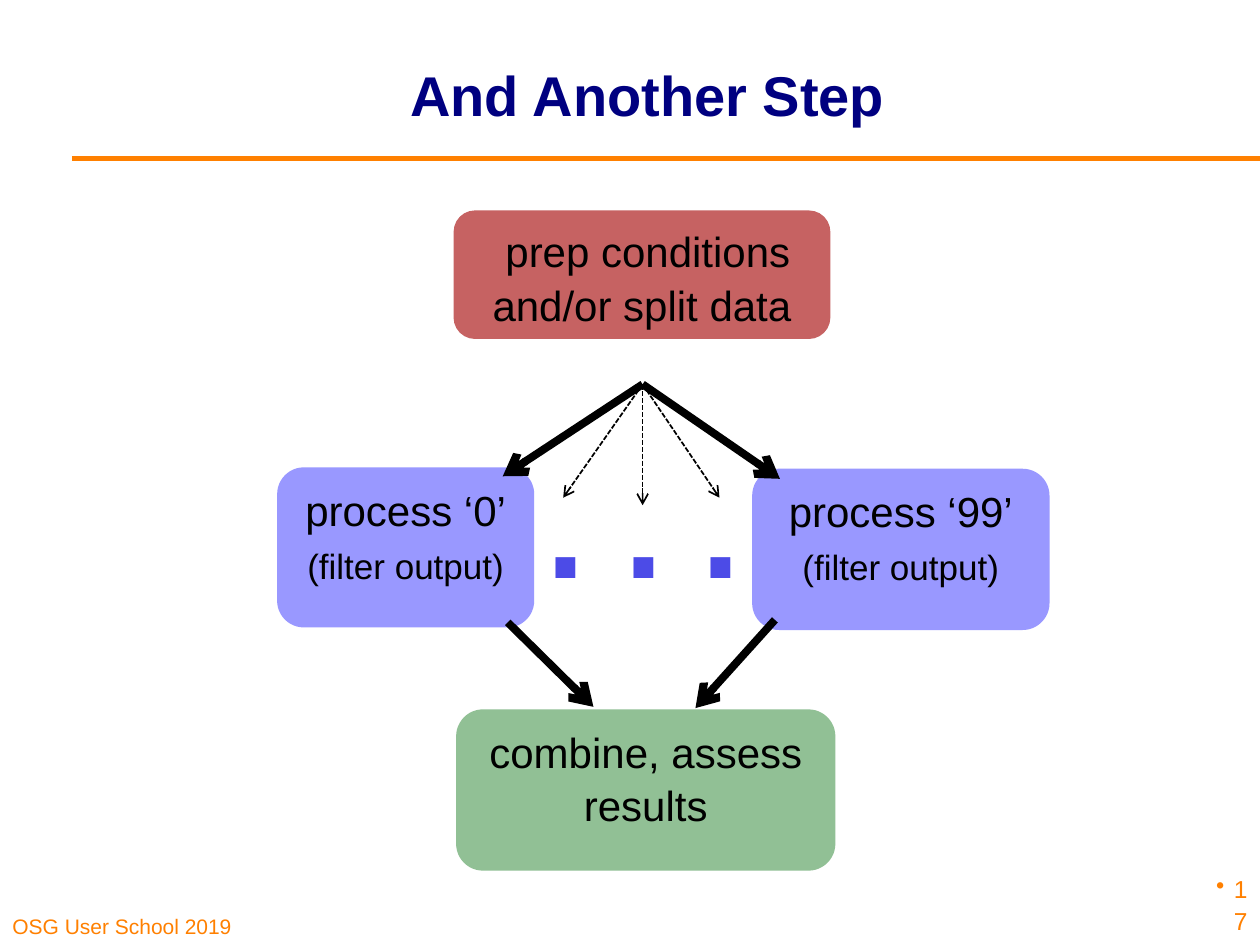
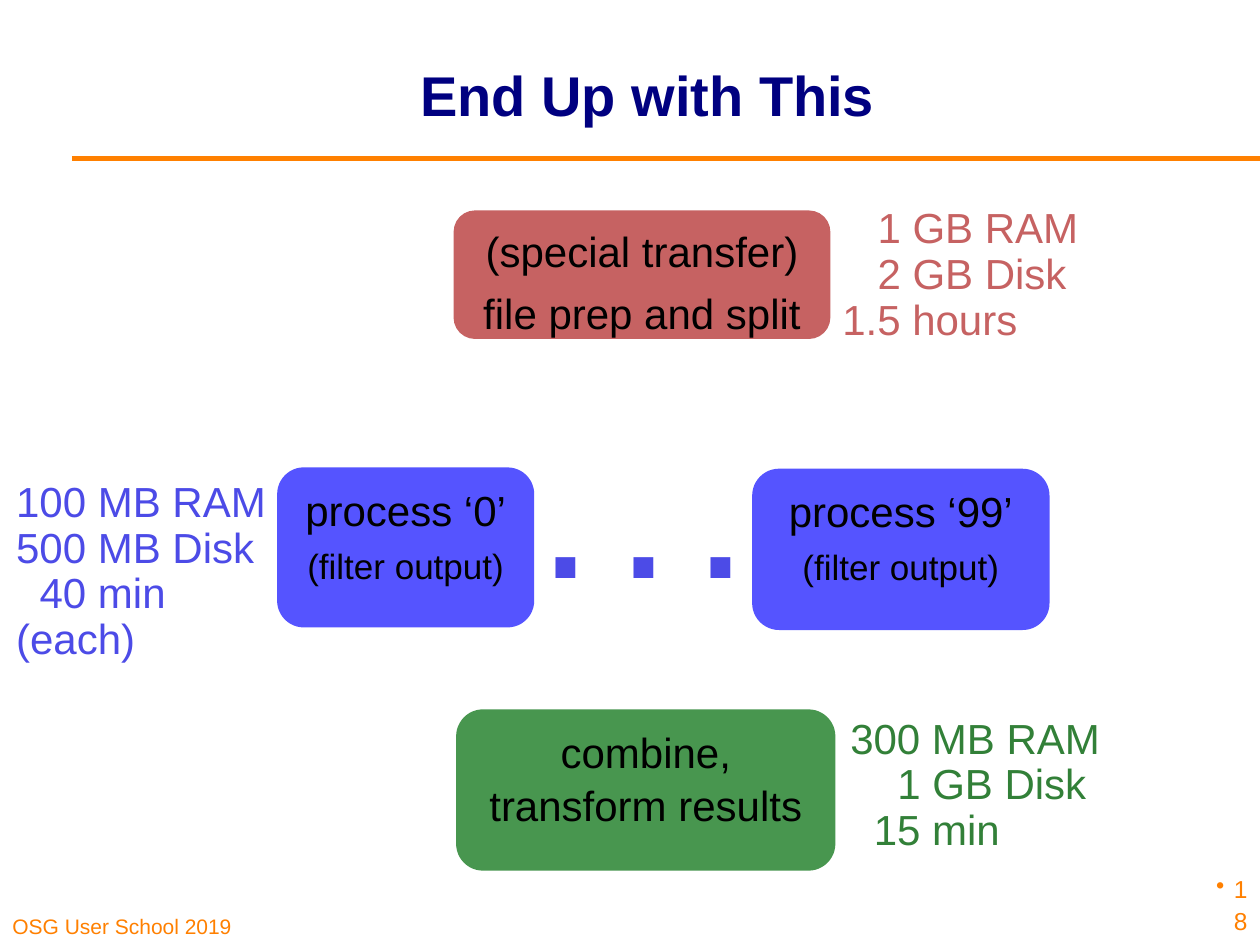
"""Builds two slides of a split, process and combine workflow."""
from dataclasses import dataclass

from lxml import etree
from pptx import Presentation, util as u
from pptx.dml.color import RGBColor
from pptx.enum import dml, shapes, text
from pptx.oxml.ns import qn


@dataclass(frozen=True)
class Theme:
    """Colours, font and type sizes shared by the slides."""
    font: str = "Arial"
    ink: str = "000000"
    title: str = "000080"
    accent: str = "FF8000"
    prep: str = "C66262"
    process: str = "5554FF"
    combine: str = "48964F"
    process_note: str = "4C4BE7"
    combine_note: str = "328038"
    title_size: int = 32
    label_size: int = 24
    detail_size: int = 20
    number_size: int = 14
    footer_size: int = 12
    dots_size: int = 80
    leading: float = 1.06
    tight: float = 0.74
    space_before: float = 0.2
    space_width: float = 0.28


@dataclass(frozen=True)
class Line:
    """One paragraph, with a lead-in counted in space widths."""
    words: str
    size: int = Theme.label_size
    lead: int = 0


class Deck:
    """Draws elements on the current slide over a grid of 100 columns by 75 rows."""
    COLUMNS, ROWS = 100, 75

    def __init__(self, theme):
        """Open a presentation of 10 by 7.5 inches."""
        self.theme = theme
        self.prs = Presentation()
        self.prs.slide_width, self.prs.slide_height = u.Inches(10), u.Inches(7.5)
        self.slide = None

    def grid(self, *lengths):
        """Turn alternating columns and rows into slide lengths."""
        cells = (self.prs.slide_width / self.COLUMNS, self.prs.slide_height / self.ROWS)
        return [u.Emu(round(n * cells[i % 2])) for i, n in enumerate(lengths)]

    def start(self, heading, number):
        """Begin a slide with its title, rule, footer and number."""
        t = self.theme
        self.slide = self.prs.slides.add_slide(self.prs.slide_layouts[5])
        title = self.slide.shapes.title
        title.left, title.top, title.width, title.height = self.grid(13.4, 1.2, 76, 12.5)
        self.fill_text(title, [Line(heading, t.title_size)], t.title, bold=True,
                       anchor=text.MSO_ANCHOR.MIDDLE, leading=1)
        self.line((5.7, 12.6), (100, 12.6), t.accent, 3)
        self.note((0, 70.8, 24.8, 4.2), [Line("OSG User School 2019", t.footer_size)],
                  t.accent, text.MSO_ANCHOR.BOTTOM, 1)
        page = self.note((95.4, 69.7, 4.6, 5), [Line(str(number), t.number_size)],
                         t.accent, text.MSO_ANCHOR.BOTTOM, t.leading)
        self.bullet(page.text_frame.paragraphs[0])

    def bullet(self, paragraph):
        """Give a right-aligned paragraph a hanging bullet."""
        paragraph.alignment = text.PP_ALIGN.RIGHT
        props = paragraph._p.get_or_add_pPr()
        hang = u.Inches(0.14)
        props.set("marL", str(hang))
        props.set("indent", str(-hang))
        etree.SubElement(props, qn("a:buChar")).set("char", "•")

    def fill_text(self, shape, lines, colour, align=text.PP_ALIGN.CENTER, bold=False,
                  anchor=text.MSO_ANCHOR.TOP, leading=Theme.leading, wrap=True):
        """Fill a shape with paragraphs, run by run."""
        t = self.theme
        frame = shape.text_frame
        frame.word_wrap, frame.vertical_anchor = wrap, anchor
        frame.auto_size = text.MSO_AUTO_SIZE.NONE
        for i, line in enumerate(lines):
            paragraph = frame.add_paragraph() if i else frame.paragraphs[0]
            paragraph.alignment, paragraph.line_spacing = align, leading
            if i:
                paragraph.space_before = u.Pt(line.size * t.space_before)
            if line.lead:
                indent = u.Pt(line.lead * t.space_width * line.size)
                paragraph._p.get_or_add_pPr().set("indent", str(indent))
            run = paragraph.add_run()
            run.text = line.words
            run.font.name, run.font.size, run.font.bold = t.font, u.Pt(line.size), bold
            run.font.color.rgb = RGBColor.from_string(colour)

    def note(self, area, lines, colour, anchor=text.MSO_ANCHOR.TOP, leading=Theme.tight):
        """Add left-aligned free text."""
        box = self.slide.shapes.add_textbox(*self.grid(*area))
        self.fill_text(box, lines, colour, text.PP_ALIGN.LEFT, anchor=anchor, leading=leading)
        return box

    def card(self, area, lines, fill=None, opacity=100, colour=Theme.ink, **style):
        """Add a rounded box with centred text."""
        card = self.slide.shapes.add_shape(
            shapes.MSO_SHAPE.ROUNDED_RECTANGLE, *self.grid(*area))
        card.shadow.inherit = False
        card.line.fill.background()
        if fill:
            card.fill.solid()
            card.fill.fore_color.rgb = RGBColor.from_string(fill)
            if opacity < 100:
                tint = card._element.spPr.find(qn("a:solidFill")).find(qn("a:srgbClr"))
                etree.SubElement(tint, qn("a:alpha")).set("val", str(opacity * 1000))
        else:
            card.fill.background()
        self.fill_text(card, lines, colour, **style)

    def line(self, start, end, colour, width, dashed=False, arrow=False):
        """Add a straight line, optionally dashed or with an arrowhead."""
        line = self.slide.shapes.add_connector(
            shapes.MSO_CONNECTOR.STRAIGHT, *self.grid(*start, *end))
        line.line.color.rgb = RGBColor.from_string(colour)
        line.line.width = u.Pt(width)
        if dashed:
            line.line.dash_style = dml.MSO_LINE.SQUARE_DOT
        if arrow:
            outline = line._element.spPr.find(qn("a:ln"))
            etree.SubElement(outline, qn("a:tailEnd")).set("type", "arrow")
        etree.SubElement(line._element.spPr, qn("a:effectLst"))

    def workflow(self, prep, combine, opacity=100):
        """Add the preparation, process and combination steps."""
        t = self.theme
        self.card((36, 16.7, 29.9, 10.2), prep, t.prep)
        for job, area in ((0, (22, 37.1, 20.4, 12.7)), (99, (59.7, 37.2, 23.6, 12.8))):
            self.card(area, [Line(f"process ‘{job}’"), Line("(filter output)", t.detail_size)],
                      t.process, opacity)
        self.card((36.2, 56.3, 30.1, 12.8), combine, t.combine, opacity)
        self.card((41.7, 32.9, 18.8, 12.8), [Line(". . .", t.dots_size)],
                  colour=t.process_note, bold=True, wrap=False)


def main():
    """Build and save both slides."""
    theme = Theme()
    deck = Deck(theme)

    deck.start("And Another Step", 17)
    deck.workflow([Line("prep conditions and/or split data", lead=1)],
                  [Line("combine, assess results")], opacity=60)
    split = (51, 30.5)
    for start, end in ((split, (61.9, 38)), (split, (39.9, 37.8)),
                       ((40.3, 49.4), (47.1, 56.1)), ((61.5, 49.2), (55.2, 56.2))):
        deck.line(start, end, theme.ink, 4.5, arrow=True)
    for end in ((44.7, 39.5), (57.1, 39.5), (51, 40.1)):
        deck.line(split, end, theme.ink, 1, dashed=True, arrow=True)

    deck.start("End Up with This", 18)
    deck.workflow([Line("(special transfer)"), Line("file prep and split")],
                  [Line("combine, transform results")])
    deck.note((64, 16.5, 25, 11.3),
              [Line("1 GB RAM", lead=5), Line("2 GB Disk", lead=5), Line("1.5 hours", lead=2)],
              theme.prep)
    deck.note((0.3, 38.2, 25, 14.9),
              [Line("100 MB RAM"), Line("500 MB Disk"), Line("40 min", lead=2), Line("(each)")],
              theme.process_note)
    deck.note((66.5, 57, 25, 11.3),
              [Line("300 MB RAM"), Line("1 GB Disk", lead=4), Line("15 min", lead=2)],
              theme.combine_note)

    deck.prs.save("out.pptx")


if __name__ == "__main__":
    main()
